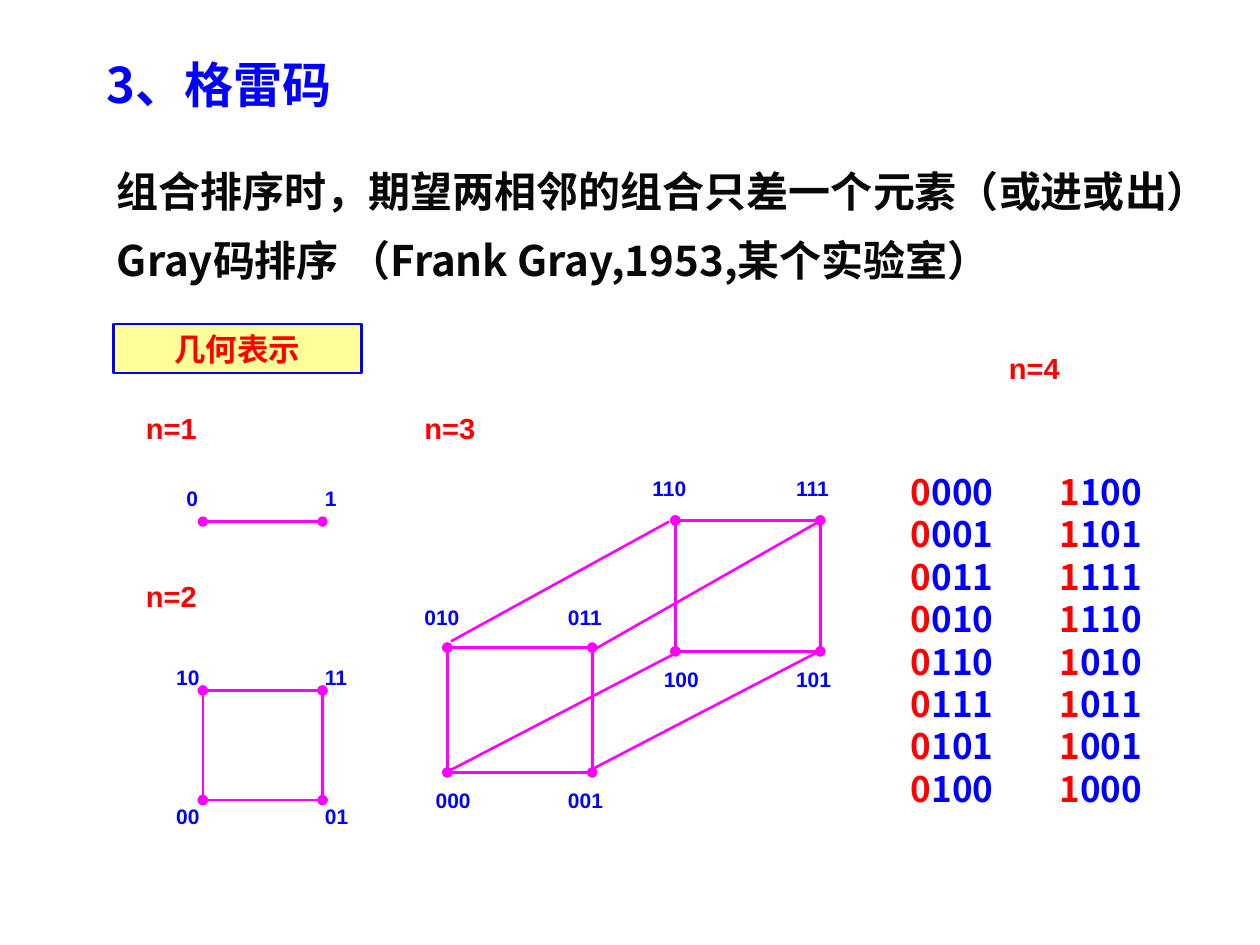
"""Build the Gray code slide with its geometric representation."""
from lxml.etree import SubElement
from pptx import Presentation
from pptx.dml.color import RGBColor
from pptx.enum.shapes import MSO_CONNECTOR as Connector, MSO_SHAPE as Shape
from pptx.enum.text import MSO_ANCHOR as Anchor, PP_ALIGN as Align
from pptx.oxml.ns import qn
from pptx.util import Inches, Pt

CJK = "Noto Sans CJK SC"
BLUE, RED, PINK, BLACK, YELLOW = "0000FF", "FF0000", "FF00FF", "080808", "FFFF99"

TITLE = "3、格雷码"
STATEMENTS = [
    ("组合排序时，期望两相邻的组合只差一个元素（或进或出）", 1.31),
    ("Gray码排序 （Frank Gray,1953,某个实验室）", 1.86),
]
BOX_LABEL = "几何表示"
HEADINGS = [("n=1", 1.06, 3.28), ("n=2", 1.06, 4.62), ("n=3", 3.27, 3.28), ("n=4", 7.91, 2.81)]

SEGMENT = (1.61, 4.14, 2.56, 4.14)
SQUARES = [(1.61, 5.48, 2.56, 6.35), (3.55, 5.14, 4.7, 6.13), (5.36, 4.13, 6.51, 5.17)]
DEPTH_EDGES = [
    (3.58, 5.09, 5.31, 4.14),
    (4.69, 5.17, 6.5, 4.14),
    (4.69, 6.11, 6.5, 5.17),
    (3.58, 6.11, 5.39, 5.17),
]
VERTEX_LABELS = [
    ("0", 1.38, 3.83), ("1", 2.48, 3.83),
    ("00", 1.3, 6.35), ("01", 2.48, 6.35), ("10", 1.3, 5.25), ("11", 2.48, 5.25),
    ("000", 3.36, 6.22), ("001", 4.41, 6.22), ("010", 3.27, 4.77), ("011", 4.41, 4.77),
    ("100", 5.17, 5.26), ("101", 6.22, 5.26), ("110", 5.08, 3.75), ("111", 6.22, 3.75),
]
LABEL_WIDTHS = {1: 0.32, 2: 0.55, 3: 0.67}
CODE_COLUMNS = [
    (7.13, ["0000", "0001", "0011", "0010", "0110", "0111", "0101", "0100"]),
    (8.31, ["1100", "1101", "1111", "1110", "1010", "1011", "1001", "1000"]),
]


def color(value):
    return RGBColor.from_string(value)


def write(paragraph, text, *, size, font, fill):
    run = paragraph.add_run()
    run.text = text
    run.font.size, run.font.bold, run.font.name = Pt(size), True, font
    run.font.color.rgb = color(fill)
    if font == CJK:
        SubElement(run.font._element, qn("a:ea"), typeface=font)


def add_text(slide, lines, left, top, width, height, *, size, font="Arial",
             fill=BLUE, first_fill=None, line_spacing=0.9, space_before=0):
    box = slide.shapes.add_textbox(Inches(left), Inches(top), Inches(width), Inches(height))
    frame = box.text_frame
    frame.word_wrap = True
    for index, line in enumerate(lines):
        paragraph = frame.add_paragraph() if index else frame.paragraphs[0]
        paragraph.line_spacing = line_spacing
        if index:
            paragraph.space_before = Pt(space_before)
        pieces = [(line[0], first_fill), (line[1:], fill)] if first_fill else [(line, fill)]
        for piece, piece_fill in pieces:
            write(paragraph, piece, size=size, font=font, fill=piece_fill)


def add_edge(slide, ends, dots=True):
    edge = slide.shapes.add_connector(Connector.STRAIGHT, *map(Inches, ends))
    edge.line.color.rgb, edge.line.width = color(PINK), Pt(1.5)
    if dots:
        for tag in ("a:headEnd", "a:tailEnd"):
            SubElement(edge.line._get_or_add_ln(), qn(tag), type="oval")
    SubElement(edge._element.spPr, qn("a:effectLst"))


def add_label_box(slide):
    box = slide.shapes.add_shape(
        Shape.FLOWCHART_PROCESS, Inches(0.9), Inches(2.57), Inches(1.97), Inches(0.39))
    box.shadow.inherit = False
    box.fill.solid()
    box.fill.fore_color.rgb = color(YELLOW)
    box.line.color.rgb, box.line.width = color(BLUE), Pt(1.5)
    frame = box.text_frame
    frame.word_wrap, frame.vertical_anchor = False, Anchor.MIDDLE
    frame.paragraphs[0].alignment = Align.CENTER
    write(frame.paragraphs[0], BOX_LABEL, size=18, font="Arial", fill=RED)


def main():
    presentation = Presentation()
    presentation.slide_width, presentation.slide_height = Inches(10), Inches(7.5)
    slide = presentation.slides.add_slide(presentation.slide_layouts[6])

    add_text(slide, [TITLE], 0.75, 0.44, 5.04, 0.63, size=28, font=CJK)
    add_label_box(slide)
    for text, top in STATEMENTS:
        add_text(slide, [text], 0.83, top, 8.98, 0.55, size=24, font=CJK, fill=BLACK)
    for text, left, top in HEADINGS:
        add_text(slide, [text], left, top, 1.1, 0.31, size=16.6, fill=RED, line_spacing=0.7)

    add_edge(slide, SEGMENT)
    for left, top, right, bottom in SQUARES:
        corners = [(left, top), (right, top), (right, bottom), (left, bottom)]
        for start, end in zip(corners, corners[1:] + corners[:1]):
            add_edge(slide, start + end)
    for ends in DEPTH_EDGES:
        add_edge(slide, ends, dots=False)
    for text, left, top in VERTEX_LABELS:
        add_text(slide, [text], left, top, LABEL_WIDTHS[len(text)], 0.36, size=12)

    for left, codes in CODE_COLUMNS:
        add_text(slide, codes, left, 3.75, 1.1, 2.91, size=20, font=CJK,
                 first_fill=RED, line_spacing=0.8, space_before=5)
    presentation.save("out.pptx")


if __name__ == "__main__":
    main()
